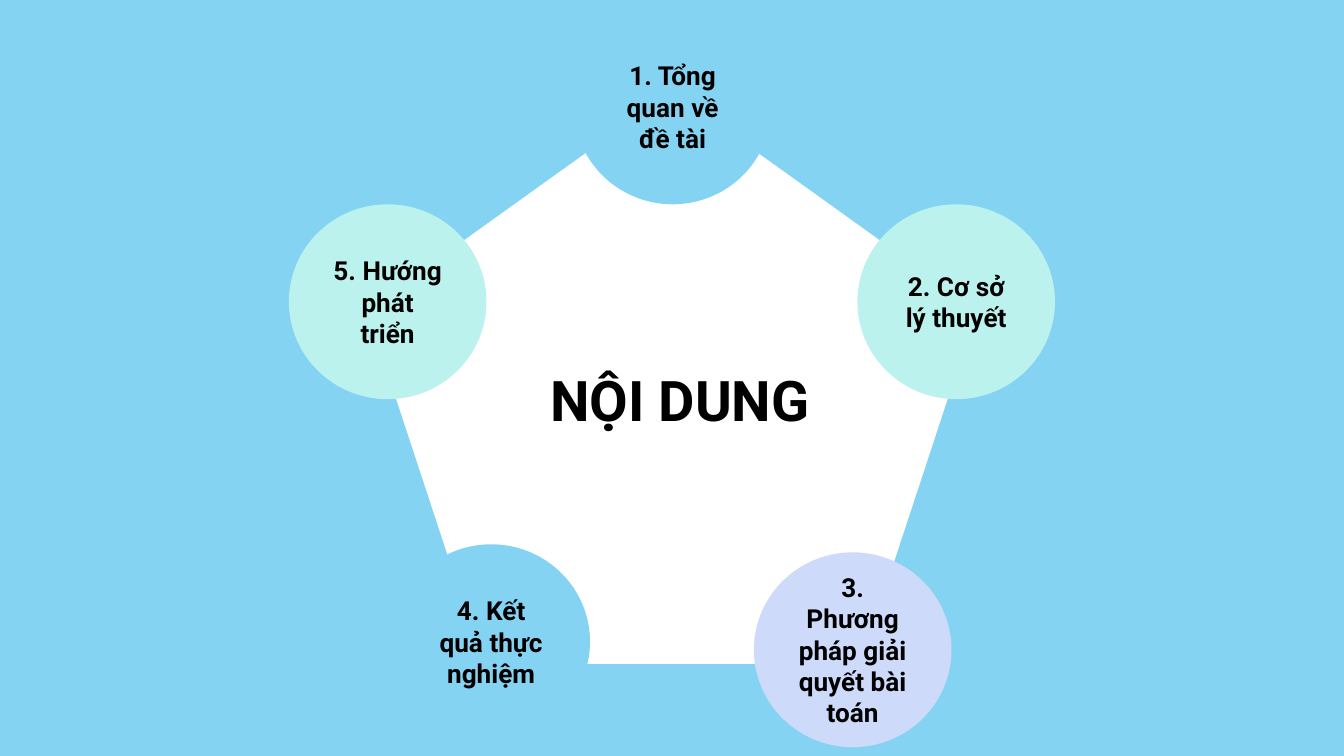
from pptx import Presentation
from pptx import util as u
from pptx.dml.color import RGBColor
from pptx.enum import shapes, text

COLORS = {
    "sky": "85D3F2",
    "mint": "BBF2ED",
    "lavender": "CDDAFA",
    "white": "FFFFFF",
    "black": "000000",
}
SLIDE_WIDTH = 10
SLIDE_HEIGHT = SLIDE_WIDTH * 9 / 16
TOPIC_SIZE = (1.47, 1.45)
TOPICS = [
    ("1. Tổng quan về đề tài", 1.54, -0.61, "sky"),
    ("2. Cơ sở lý thuyết", 3.65, 0.84, "mint"),
    ("5. Hướng phát triển", -0.58, 0.84, "mint"),
    ("4. Kết quả thực nghiệm", 0.19, 3.37, "sky"),
    ("3. Phương pháp giải quyết bài toán", 2.88, 3.43, "lavender"),
]


def color(name):
    """Return the named colour."""
    return RGBColor.from_string(COLORS[name])


def add_filled_shape(slide, kind, box, fill):
    """Add a plain filled shape without line or shadow."""
    shape = slide.shapes.add_shape(kind, *map(u.Inches, box))
    shape.shadow.inherit = False
    shape.fill.solid()
    shape.fill.fore_color.rgb = color(fill)
    shape.line.fill.background()
    return shape


def write_label(shape, label, size, inset, anchor):
    """Write a centred bold label into a shape."""
    frame = shape.text_frame
    margins = {f"margin_{side}": u.Inches(inset)
               for side in ("left", "right", "top", "bottom")}
    frame_format = {"word_wrap": True, "vertical_anchor": anchor, **margins}
    for name, value in frame_format.items():
        setattr(frame, name, value)
    paragraph = frame.paragraphs[0]
    paragraph.text = label
    paragraph.alignment = text.PP_ALIGN.CENTER
    font_format = {"name": "Roboto", "size": u.Pt(size), "bold": True}
    for name, value in font_format.items():
        setattr(paragraph.font, name, value)
    paragraph.font.color.rgb = color("black")


def add_contents_wheel(slide, left, top, width, height):
    """Draw the pentagon with its topic circles and central title."""
    add_filled_shape(slide, shapes.MSO_SHAPE.REGULAR_PENTAGON,
                     (left, top, width, height), "white")
    for label, dx, dy, fill in TOPICS:
        circle = add_filled_shape(slide, shapes.MSO_SHAPE.OVAL,
                                  (left + dx, top + dy, *TOPIC_SIZE), fill)
        write_label(circle, label, 14, 0.11, text.MSO_ANCHOR.MIDDLE)
    title_box = (left + 1.25, top + 1.99, 2.16, 0.61)
    title = slide.shapes.add_textbox(*map(u.Inches, title_box))
    write_label(title, "NỘI DUNG", 30, 0.05, text.MSO_ANCHOR.TOP)


def main():
    """Build and save the presentation."""
    presentation = Presentation()
    presentation.slide_width = u.Inches(SLIDE_WIDTH)
    presentation.slide_height = u.Inches(SLIDE_HEIGHT)
    slide = presentation.slides.add_slide(presentation.slide_layouts[6])
    slide.background.fill.solid()
    slide.background.fill.fore_color.rgb = color("sky")
    add_contents_wheel(slide, 2.73, 0.68, 4.54, 4.26)
    presentation.save("out.pptx")


if __name__ == "__main__":
    main()
